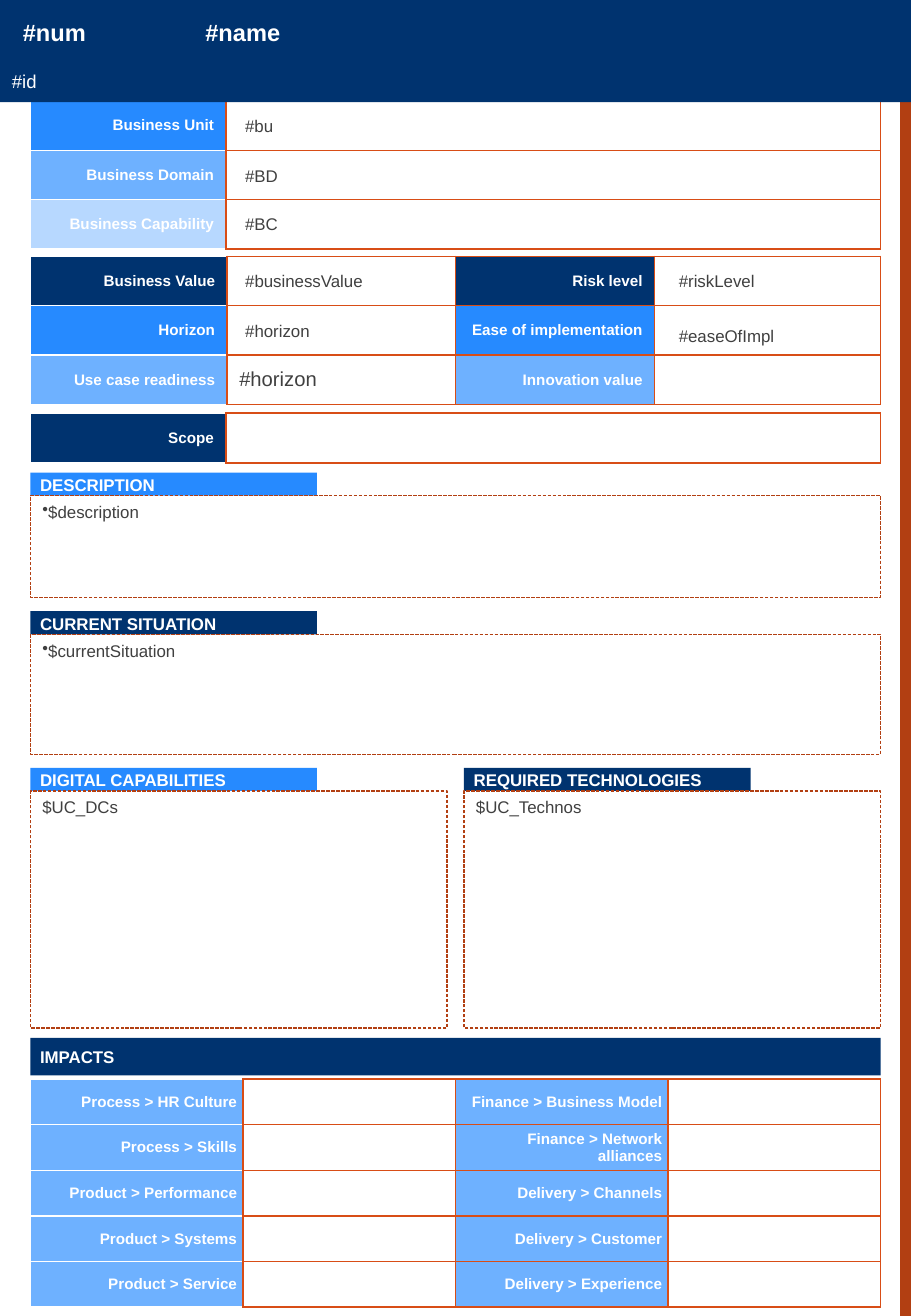
from dataclasses import dataclass
from lxml.etree import SubElement
from pptx import Presentation
from pptx.dml.color import RGBColor
from pptx.enum.dml import MSO_LINE
from pptx.enum.shapes import MSO_SHAPE as SHAPE
from pptx.enum.text import MSO_ANCHOR as ANCHOR, MSO_AUTO_SIZE as AUTO, PP_ALIGN as ALIGN
from pptx.oxml.ns import qn
from pptx.util import Inches, Pt


@dataclass(frozen=True)
class Theme:
    font: str = "Arial"
    navy: str = "00336F"
    blue: str = "268AFF"
    sky: str = "6EB1FF"
    pale: str = "B7D8FF"
    white: str = "FFFFFF"
    text: str = "404040"
    rust: str = "B23F12"
    orange: str = "D84D16"
    title: int = 14
    value: int = 12
    code: int = 11
    body: int = 10
    label: int = 9


T = Theme()


def write(tf, text, size, color, bold=False, align=ALIGN.LEFT, anchor=ANCHOR.TOP):
    tf.word_wrap = True
    tf.vertical_anchor = anchor
    p = tf.paragraphs[0]
    p.text = text
    p.alignment = align
    for r in p.runs:
        r.font.name = T.font
        r.font.size = Pt(size)
        r.font.bold = bold
        r.font.color.rgb = RGBColor.from_string(color)
    return p


def add_rect(x, y, w, h, fill):
    sp = slide.shapes.add_shape(SHAPE.RECTANGLE, Inches(x), Inches(y), Inches(w), Inches(h))
    sp.shadow.inherit = False
    sp.fill.solid()
    sp.fill.fore_color.rgb = RGBColor.from_string(fill)
    sp.line.fill.background()
    return sp


prs = Presentation()
prs.slide_width, prs.slide_height = Inches(7.5), Inches(10.83)
slide = prs.slides.add_slide(prs.slide_layouts[5])
left, width = 0.25, 7

add_rect(7.41, 0, 0.09, 10.83, T.rust)

impacts = [
    ("Process > HR Culture", "Finance > Business Model"),
    ("Process > Skills", "Finance > Network alliances"),
    ("Product > Performance", "Delivery > Channels"),
    ("Product > Systems", "Delivery > Customer"),
    ("Product > Service", "Delivery > Experience"),
]
tables = [
    (0.83, 1.22 / 3, 0.1, [1.61, 5.39], [
        (T.blue, ["Business Unit", ""]),
        (T.sky, ["Business Domain", ""]),
        (T.pale, ["Business Capability", ""])]),
    (2.11, 1.22 / 3, 0.1, [1.62, 1.88, 1.64, 1.86], [
        (T.navy, ["Business Value", "", "Risk level", ""]),
        (T.blue, ["Horizon", "", "Ease of implementation", ""]),
        (T.sky, ["Use case readiness", "#horizon", "Innovation value", ""])]),
    (3.4, 0.41, 0.1, [1.61, 5.39], [(T.navy, ["Scope", ""])]),
    (8.88, 1.87 / 5, 0.05, [1.75] * 4,
     [(T.sky, [first, "", second, ""]) for first, second in impacts]),
]
for top, row_height, inset, columns, rows in tables:
    table = slide.shapes.add_table(
        len(rows), len(columns), Inches(left), Inches(top),
        Inches(width), Inches(row_height * len(rows))).table
    table.first_row = table.horz_banding = False
    for column, column_width in zip(table.columns, columns):
        column.width = Inches(column_width)
    for row, (label_fill, texts) in zip(table.rows, rows):
        row.height = Inches(row_height)
        for i, (cell, text) in enumerate(zip(row.cells, texts)):
            is_label = i % 2 == 0
            cell.margin_left = cell.margin_right = Inches(inset)
            cell.vertical_anchor = ANCHOR.MIDDLE
            if is_label:
                write(cell.text_frame, text, T.label, T.white, True, ALIGN.RIGHT, None)
            elif text:
                write(cell.text_frame, text, T.value, T.text, anchor=None)
            else:
                p = cell.text_frame.paragraphs[0]
                SubElement(p._p, qn("a:endParaRPr"), sz=str(T.label * 100))
            tcPr = cell._tc.get_or_add_tcPr()
            for side in ("L", "R", "T", "B"):
                color = T.white if i == 0 and side != "R" else T.orange
                ln = SubElement(tcPr, qn(f"a:ln{side}"), w=str(Pt(1)))
                SubElement(SubElement(ln, qn("a:solidFill")), qn("a:srgbClr"), val=color)
            cell.fill.solid()
            cell.fill.fore_color.rgb = RGBColor.from_string(label_fill if is_label else T.white)

add_rect(0, -0.01, 7.5, 0.85, T.navy)

headings = [
    ("DESCRIPTION", left, 3.89, 2.36, 0.2, T.blue),
    ("CURRENT SITUATION", left, 5.03, 2.36, 0.2, T.navy),
    ("DIGITAL CAPABILITIES", left, 6.32, 2.36, 0.2, T.blue),
    ("REQUIRED TECHNOLOGIES", 3.82, 6.32, 2.36, 0.2, T.navy),
    ("IMPACTS", left, 8.54, width, 0.31, T.navy),
]
for text, x, y, w, h, fill in headings:
    tf = add_rect(x, y, w, h, fill).text_frame
    tf.margin_left = tf.margin_right = Inches(0.08)
    write(tf, text, T.body, T.white, True, anchor=ANCHOR.MIDDLE)

panels = [
    ("$description", left, 4.08, width, 0.84, True),
    ("$currentSituation", left, 5.22, width, 0.99, True),
    ("$UC_DCs", left, 6.51, 3.43, 1.95, False),
    ("$UC_Technos", 3.82, 6.51, 3.43, 1.95, False),
]
for text, x, y, w, h, bulleted in panels:
    sp = add_rect(x, y, w, h, T.white)
    sp.line.color.rgb = RGBColor.from_string(T.rust)
    sp.line.width = Pt(0)
    sp.line.dash_style = MSO_LINE.SQUARE_DOT
    p = write(sp.text_frame, text, T.body, T.text)
    if bulleted:
        SubElement(p._p.get_or_add_pPr(), qn("a:buChar"), char="•")

fields = [
    ("#bu", 1.92, 0.9, 4.77),
    ("#BD", 1.92, 1.31, 4.77),
    ("#BC", 1.92, 1.71, 4.77),
    ("#businessValue", 1.92, 2.18, 1.75),
    ("#horizon", 1.92, 2.59, 1.75),
    ("#riskLevel", 5.49, 2.18, 1.75),
    ("#easeOfImpl", 5.49, 2.63, 1.75),
]
for text, x, y, w in fields:
    tb = slide.shapes.add_textbox(Inches(x), Inches(y), Inches(w), Inches(0.29))
    write(tb.text_frame, text, T.body, T.text)

write(add_rect(0.09, 0.1, 0.8, 0.34, T.navy).text_frame, "#num", T.title, T.white, True)
write(add_rect(0, 0.53, 1.06, 0.29, T.navy).text_frame, "#id", T.code, T.white)

title = slide.shapes.title
title.left, title.top, title.width, title.height = map(Inches, (1.59, 0.1, 5.41, 0.34))
title.fill.solid()
title.fill.fore_color.rgb = RGBColor.from_string(T.navy)
title.text_frame.auto_size = AUTO.NONE
write(title.text_frame, "#name", T.title, T.white, True)
title.element.getparent().append(title.element)

prs.save("out.pptx")
